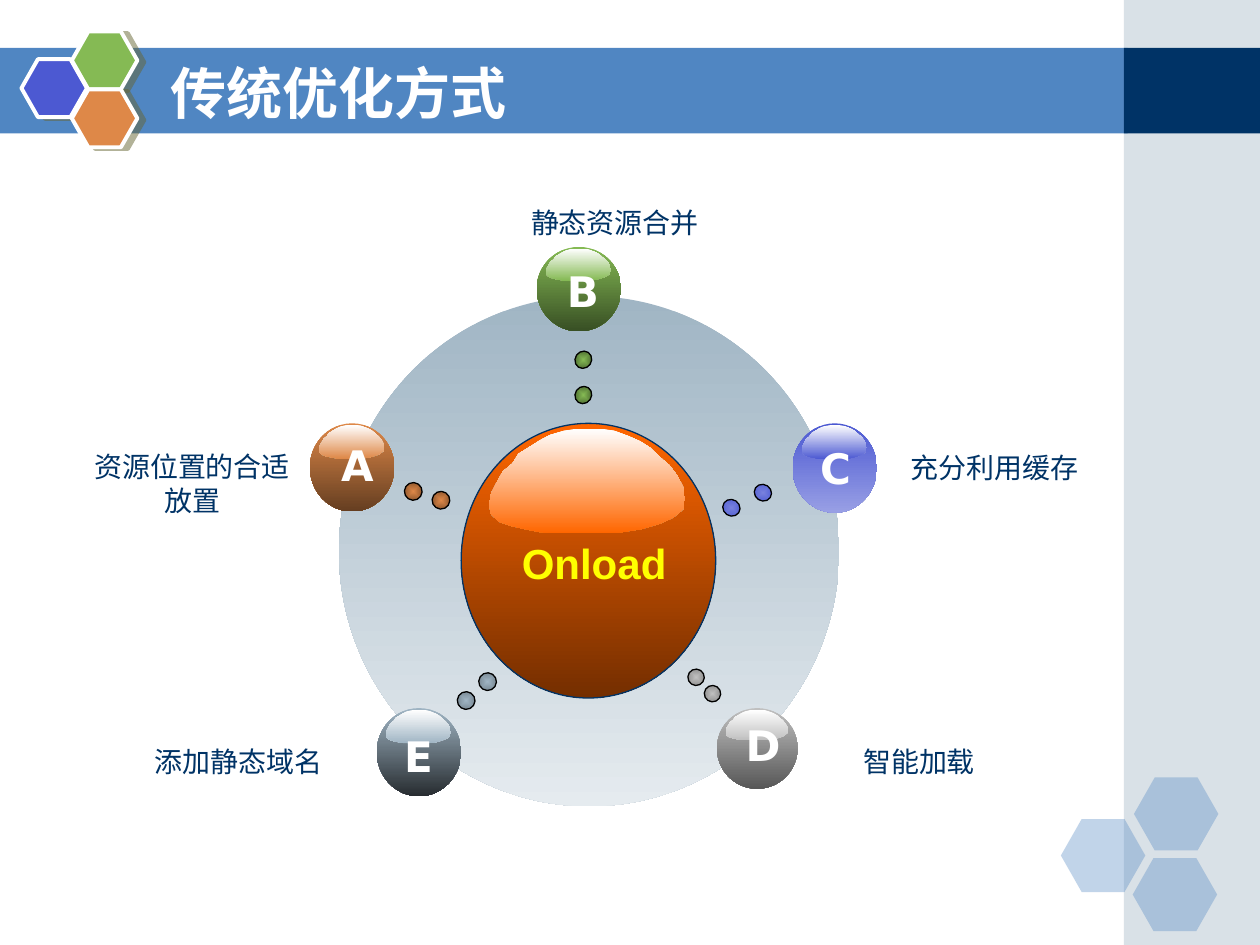
from lxml.etree import SubElement
from pptx import Presentation
from pptx.dml.color import RGBColor
from pptx.enum.shapes import MSO_SHAPE
from pptx.enum.text import MSO_ANCHOR, PP_ALIGN
from pptx.oxml.ns import qn
from pptx.util import Inches, Pt

COLORS = {
    "white": "FFFFFF", "black": "000000", "navy": "003366", "band": "5086C2",
    "mist": "A0B5C4", "pale": "E5EBEF", "fire": "FF6600", "ember": "742E00",
    "yellow": "FFFF00", "shade": "666633", "green": "85BA54", "forest": "384F24",
    "moss": "3C5526", "slate": "272C30", "steel": "6B7983", "blue": "4C59D2",
    "lilac": "989FE5", "iris": "7881DD", "silver": "C0C0C0", "iron": "575757",
    "gray": "808080", "orange": "DE8848", "brown": "653E21", "rust": "764825",
}
TITLE = "传统优化方式"
CORE = ("Onload", (3.66, 3.36, 2.02, 2.18))

# Each step: ball box, ball colours, letter centre, label and its box,
# the two dot positions, dot size and dot colours
STEPS = {
    "B": dict(ball=(4.26, 1.96, 0.67, 0.67), fill=("green", "forest"), letter=(4.61, 2.31),
              label="静态资源合并", at=(3.66, 1.58, 2.44, 0.37),
              dots=[(4.56, 2.79), (4.56, 3.07)], size=(0.14, 0.13), tint=("green", "moss")),
    "E": dict(ball=(2.99, 5.62, 0.67, 0.7), fill=("mist", "slate"), letter=(3.32, 6),
              label="添加静态域名", at=(0.96, 5.86, 1.87, 0.37),
              dots=[(3.63, 5.49), (3.8, 5.34)], size=(0.14, 0.14), tint=("mist", "steel")),
    "C": dict(ball=(6.29, 3.36, 0.67, 0.71), fill=("blue", "lilac"), letter=(6.62, 3.71),
              label="充分利用缓存", at=(6.96, 3.53, 1.87, 0.37),
              dots=[(5.99, 3.84), (5.74, 3.96)], size=(0.13, 0.14), tint=("iris", "blue")),
    "D": dict(ball=(5.69, 5.62, 0.64, 0.64), fill=("silver", "iron"), letter=(6.03, 5.91),
              label="智能加载", at=(6.36, 5.86, 1.87, 0.37),
              dots=[(5.59, 5.44), (5.46, 5.31)], size=(0.13, 0.13), tint=("silver", "gray")),
    "A": dict(ball=(2.46, 3.36, 0.67, 0.7), fill=("orange", "brown"), letter=(2.82, 3.69),
              label="资源位置的合适放置", at=(0.59, 3.52, 1.87, 0.64),
              dots=[(3.21, 3.83), (3.43, 3.9)], size=(0.14, 0.14), tint=("orange", "rust")),
}
LOGO_HEXES = [(0.17, 0.47, "blue"), (0.57, 0.25, "green"), (0.57, 0.71, "orange")]
CORNER_HEXES = [(8.42, 6.5), (9, 6.17), (8.99, 6.81)]

# Highlight outline, in percent of its own box, and that box as shares of a ball
GLOSS = [(99, 56), (100, 67), (99, 77), (94, 85), (87, 91), (78, 96), (68, 99), (60, 100),
         (36, 100), (26, 99), (18, 96), (11, 93), (5, 89), (1, 82), (0, 73), (1, 62),
         (4, 51), (7, 41), (12, 33), (15, 24), (21, 17), (26, 11), (31, 6), (38, 2),
         (44, 0), (58, 0), (64, 2), (71, 7), (77, 12), (82, 18), (87, 27), (92, 35), (96, 45)]
GLOSS_BOX = (0.11, 0.02, 0.77, 0.38)

deck = Presentation()
deck.slide_width, deck.slide_height = Inches(10), Inches(7.5)
page = deck.slides.add_slide(deck.slide_layouts[5])


def rgb(name):
    return RGBColor.from_string(COLORS[name])


def paint(shape, fill, line=None, width=0.75, opacity=None):
    """Fill with one colour, or with a gradient for a pair of colours."""
    shape.shadow.inherit = False
    if isinstance(fill, tuple):
        shape.fill.gradient()
        shape.fill.gradient_angle = 270
        for stop, name in zip(shape.fill.gradient_stops, fill):
            stop.color.rgb = rgb(name)
    else:
        shape.fill.solid()
        shape.fill.fore_color.rgb = rgb(fill)
    if opacity:
        color = shape._element.spPr.find(".//" + qn("a:srgbClr"))
        SubElement(color, qn("a:alpha"), val=str(opacity * 1000))
    if line:
        shape.line.color.rgb = rgb(line)
        shape.line.width = Pt(width)
    else:
        shape.line.fill.background()
    return shape


def add(kind, box, fill, **style):
    return paint(page.shapes.add_shape(kind, *map(Inches, box)), fill, **style)


def add_hexagon(box, fill, **style):
    shape = add(MSO_SHAPE.HEXAGON, box, fill, **style)
    shape.adjustments[0] = 0.285
    return shape


def cast_shadow(shape):
    effects = shape._element.spPr.find(qn("a:effectLst"))
    shadow = SubElement(effects, qn("a:outerShdw"), blurRad="0", dist=str(Pt(4.1)),
                        dir=str(14 * 60000), algn="ctr", rotWithShape="0")
    color = SubElement(shadow, qn("a:srgbClr"), val=COLORS["shade"])
    SubElement(color, qn("a:alpha"), val="50000")


def add_dot(box, tint):
    dot = add(MSO_SHAPE.OVAL, box, tint, line="black")
    dot.rotation = 303.8
    # Turn the straight gradient into one that runs out from the centre
    gradient = dot._element.spPr.find(qn("a:gradFill"))
    gradient.remove(gradient.find(qn("a:lin")))
    spread = SubElement(gradient, qn("a:path"), path="rect")
    SubElement(spread, qn("a:fillToRect"), l="50000", t="50000", r="50000", b="50000")


def add_ball(box, fill, line=None):
    add(MSO_SHAPE.OVAL, box, fill, line=line)
    left, top, width, height = box
    dx, dy, share_w, share_h = GLOSS_BOX
    # One outline unit is one percent of the highlight's box
    unit = (Inches(width * share_w) / 100, Inches(height * share_h) / 100)
    builder = page.shapes.build_freeform(*GLOSS[0], scale=unit)
    builder.add_line_segments(GLOSS[1:], close=True)
    gloss = builder.convert_to_shape(Inches(left + width * dx), Inches(top + height * dy))
    paint(gloss, ("white", fill[0]))


def style_text(frame, text, size, color, font, bold=False, align=PP_ALIGN.CENTER):
    frame.text = text
    para = frame.paragraphs[0]
    para.alignment = align
    para.font.size, para.font.bold, para.font.name = Pt(size), bold, font
    para.font.color.rgb = rgb(color)


def add_text(box, text, size, color, font="Arial", bold=False, wrap=True):
    frame = page.shapes.add_textbox(*map(Inches, box)).text_frame
    frame.word_wrap = wrap
    style_text(frame, text, size, color, font, bold)


# Title band, side strip and hexagons
add(MSO_SHAPE.RECTANGLE, (0, 0.38, 8.95, 0.68), "band")
add(MSO_SHAPE.RECTANGLE, (8.92, 0, 1.08, 7.5), "mist", opacity=40)
add(MSO_SHAPE.RECTANGLE, (8.92, 0.38, 1.08, 0.68), "navy")
for left, top in CORNER_HEXES:
    add_hexagon((left, top, 0.67, 0.58), "band", opacity=35)
for left, top, color in LOGO_HEXES:
    cast_shadow(add_hexagon((left, top, 0.52, 0.46), color, line="white", width=2.25))

# Title, brought in front of the band
title = page.shapes.title
title.left, title.top, title.width, title.height = map(Inches, (1.25, 0.42, 7.33, 0.62))
title.text_frame.vertical_anchor = MSO_ANCHOR.MIDDLE
style_text(title.text_frame, TITLE, 32, "white", "DejaVu Sans", True, PP_ALIGN.LEFT)
title._element.getparent().append(title._element)

# Ring and core
add(MSO_SHAPE.OVAL, (2.69, 2.35, 3.97, 4.05), ("mist", "pale"))
core_text, core_box = CORE
add_ball(core_box, ("fire", "ember"), line="navy")
add_text((4.04, 4.22, 1.35, 0.5), core_text, 24, "yellow", bold=True, wrap=False)

# Lettered balls with dots and labels
for letter, step in STEPS.items():
    add_ball(step["ball"], step["fill"])
    x, y = step["letter"]
    add_text((x - 0.21, y - 0.25, 0.42, 0.5), letter, 24, "white", "DejaVu Sans", True, False)
    for spot in step["dots"]:
        add_dot(spot + step["size"], step["tint"])
    add_text(step["at"], step["label"], 16, "navy")

deck.save("out.pptx")
